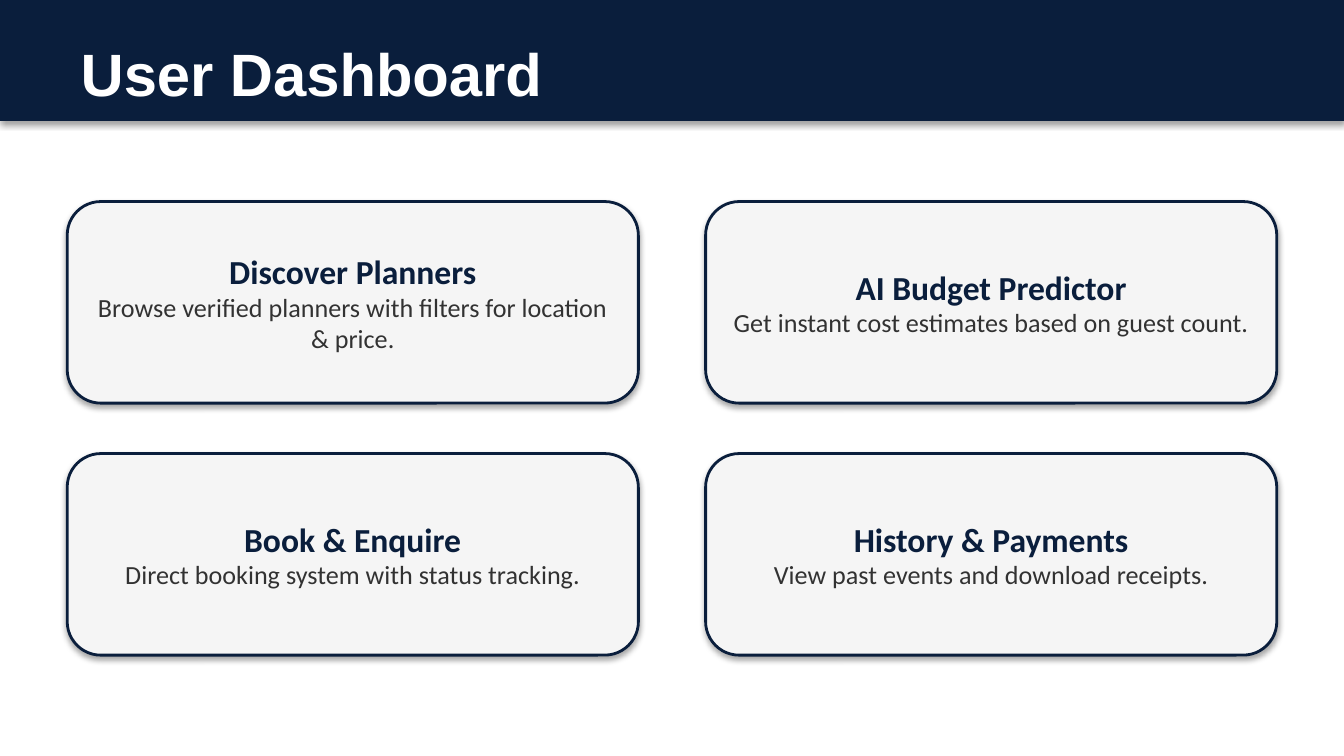
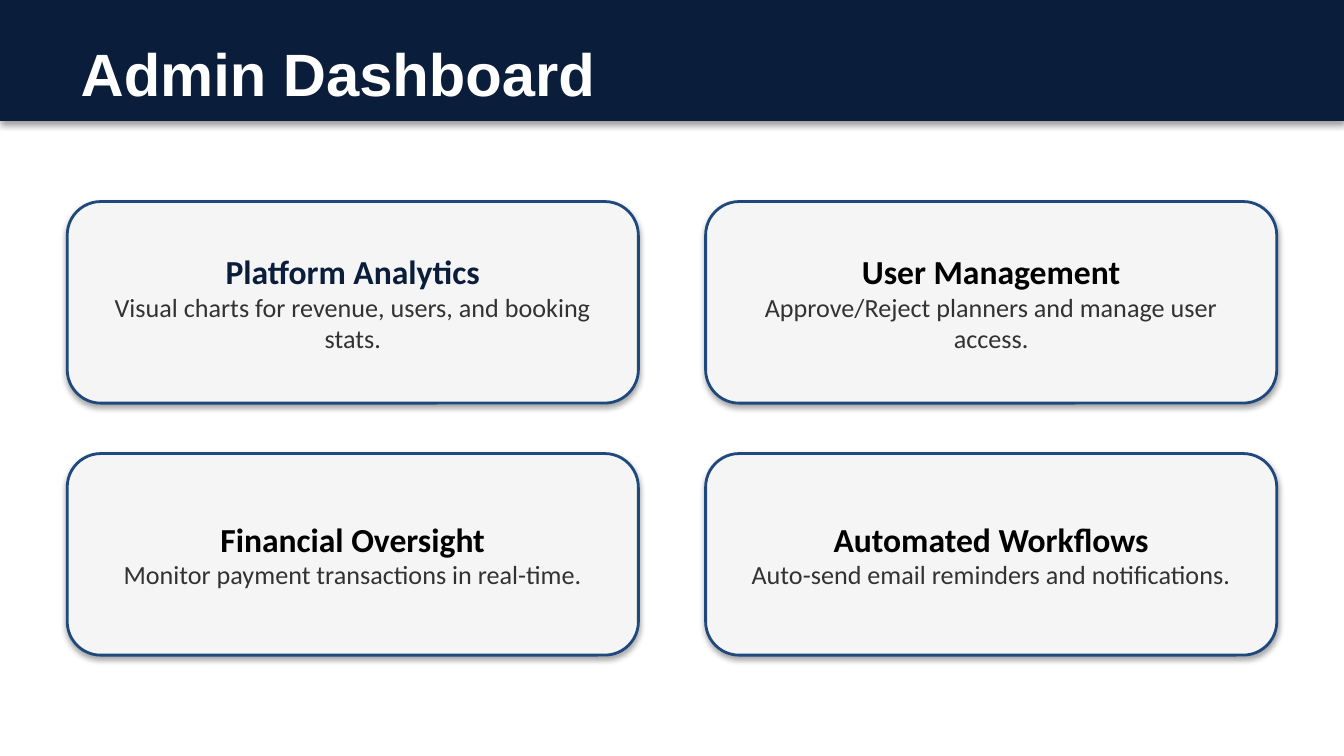
from pptx import Presentation
from pptx.dml.color import RGBColor
from pptx.enum.shapes import MSO_SHAPE
from pptx.enum.text import MSO_ANCHOR, MSO_AUTO_SIZE, PP_ALIGN
from pptx.util import Inches, Pt

COLORS = {
    "navy": "0A1E3C",
    "blue": "1F497D",
    "card": "F5F5F5",
    "body": "323232",
    "black": "000000",
    "white": "FFFFFF",
}

# Content: title, card outline, then (heading, heading colour, description)
SLIDES = [
    ("User Dashboard", "navy", [
        ("Discover Planners", "navy",
         "Browse verified planners with filters for location & price."),
        ("AI Budget Predictor", "navy",
         "Get instant cost estimates based on guest count."),
        ("Book & Enquire", "navy",
         "Direct booking system with status tracking."),
        ("History & Payments", "navy",
         "View past events and download receipts."),
    ]),
    ("Admin Dashboard", "blue", [
        ("Platform Analytics", "navy",
         "Visual charts for revenue, users, and booking stats."),
        ("User Management", "black",
         "Approve/Reject planners and manage user access."),
        ("Financial Oversight", "black",
         "Monitor payment transactions in real-time."),
        ("Automated Workflows", "black",
         "Auto-send email reminders and notifications."),
    ]),
]

# Text formats
TITLE = {"name": "Arial", "size": Pt(32), "bold": True}
HEADING = {"name": "Calibri", "size": Pt(18), "bold": True}
BODY = {"name": "Calibri", "size": Pt(14), "bold": False}

# Layout, in inches
SLIDE_W = 10
SLIDE_H = SLIDE_W * 9 / 16
BAND_H = 0.9
TITLE_TOP, TITLE_H = BAND_H / 4, 0.6
MARGIN, CARDS_TOP = 0.5, 1.5
CARD_W, CARD_H = 4.25, 1.5
GAP_X, GAP_Y = 0.5, CARD_H / 4
COLUMNS = 2


def rgb(name):
    return RGBColor.from_string(COLORS[name])


def write(p, text, style, color, align):
    p.alignment = align
    r = p.add_run()
    r.text = text
    for key, value in style.items():
        setattr(r.font, key, value)
    r.font.color.rgb = rgb(color)


def add_block(s, preset, box, fill):
    """Add a filled shape that keeps the theme's soft shadow."""
    sp = s.shapes.add_shape(preset, *map(Inches, box))
    sp.fill.solid()
    sp.fill.fore_color.rgb = rgb(fill)
    return sp


def add_header(s, title):
    band = add_block(s, MSO_SHAPE.RECTANGLE, (0, 0, SLIDE_W, BAND_H), "navy")
    band.line.fill.background()
    s.shapes.title.element.addprevious(band.element)  # band behind title

    sp = s.shapes.title
    sp.left, sp.top, sp.width, sp.height = map(
        Inches, (MARGIN, TITLE_TOP, SLIDE_W - 2 * MARGIN, TITLE_H))
    tf = sp.text_frame
    tf.vertical_anchor = MSO_ANCHOR.TOP
    tf.auto_size = MSO_AUTO_SIZE.SHAPE_TO_FIT_TEXT
    write(tf.paragraphs[0], title, TITLE, "white", PP_ALIGN.LEFT)


def add_card(s, index, outline, heading, color, description):
    row, col = divmod(index, COLUMNS)
    box = (MARGIN + col * (CARD_W + GAP_X),
           CARDS_TOP + row * (CARD_H + GAP_Y), CARD_W, CARD_H)
    sp = add_block(s, MSO_SHAPE.ROUNDED_RECTANGLE, box, "card")
    sp.line.color.rgb = rgb(outline)
    sp.line.width = Pt(1.5)
    tf = sp.text_frame
    tf.word_wrap = True
    tf.vertical_anchor = MSO_ANCHOR.MIDDLE
    write(tf.paragraphs[0], heading, HEADING, color, PP_ALIGN.CENTER)
    write(tf.add_paragraph(), description, BODY, "body", PP_ALIGN.CENTER)


def main():
    prs = Presentation()
    prs.slide_width, prs.slide_height = Inches(SLIDE_W), Inches(SLIDE_H)
    title_only = prs.slide_layouts[5]
    for title, outline, cards in SLIDES:
        s = prs.slides.add_slide(title_only)
        add_header(s, title)
        for index, card in enumerate(cards):
            add_card(s, index, outline, *card)
    prs.save("out.pptx")


if __name__ == "__main__":
    main()
